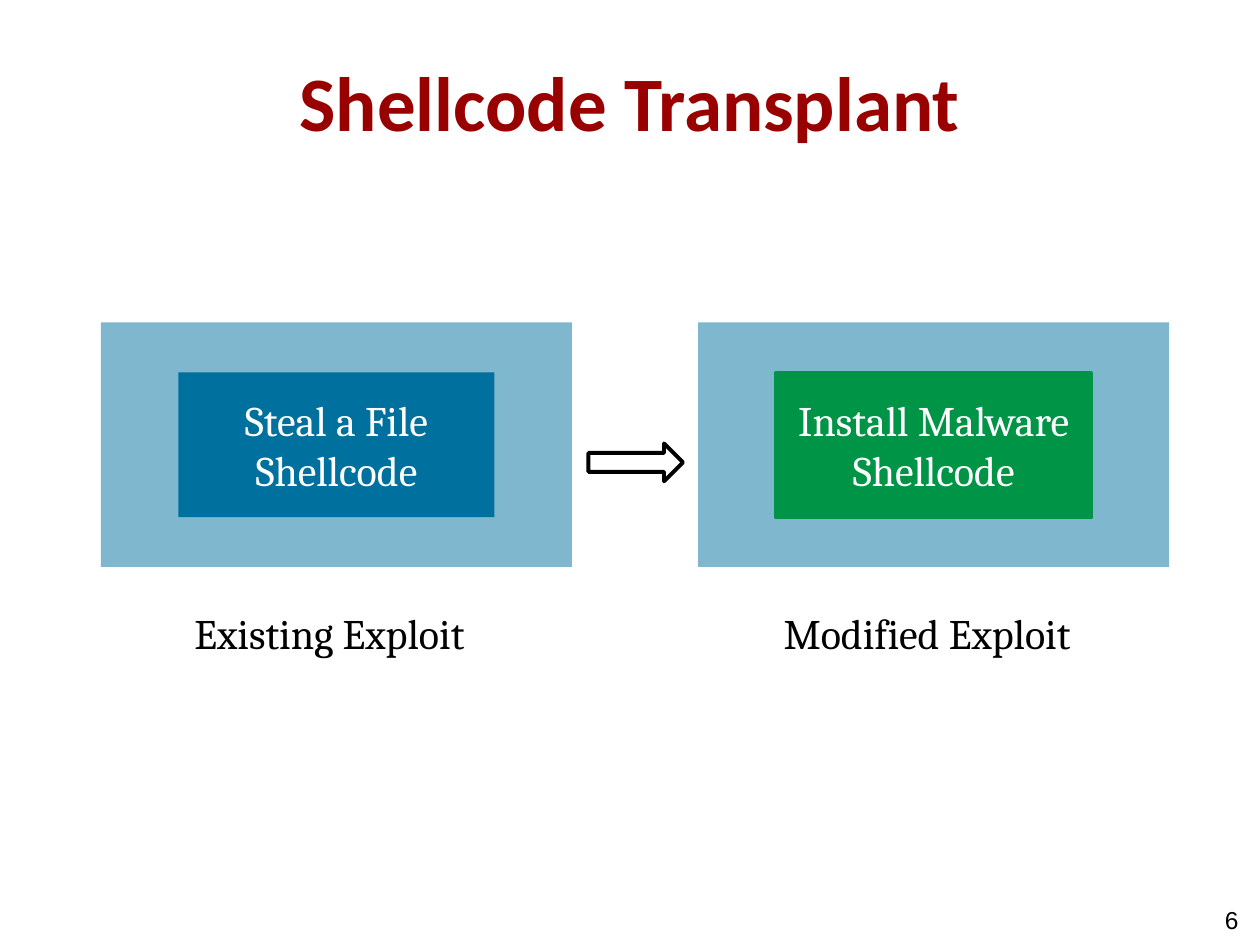
from lxml import etree
from pptx import Presentation
from pptx.dml.color import RGBColor
from pptx.enum import shapes, text
from pptx.oxml import ns
from pptx.util import Inches, Pt

COLORS = {
    "title": "990000",
    "exploit": "00709E",
    "malware": "009446",
    "ink": "000000",
    "paper": "FFFFFF",
}
PANEL_TOP, PANEL_WIDTH, PANEL_HEIGHT = 2.56, 3.74, 1.94
PAYLOAD_WIDTH, PAYLOAD_HEIGHT = 2.51, 1.15


def rgb(name):
    return RGBColor.from_string(COLORS[name])


def write(frame, wording, font, size, color, align, bold=False):
    paragraph = frame.paragraphs[0]
    paragraph.alignment = align
    run = paragraph.add_run()
    run.text = wording
    run.font.name = font
    run.font.size = Pt(size)
    run.font.bold = bold
    run.font.color.rgb = rgb(color)


def add_label(slide, box, wording, font, size, color, align,
              bold=False, inset=None, middle=False, wrap=True):
    label = slide.shapes.add_textbox(*map(Inches, box))
    frame = label.text_frame
    frame.word_wrap = wrap
    if middle:
        frame.vertical_anchor = text.MSO_ANCHOR.MIDDLE
    if inset is not None:
        frame.margin_left = frame.margin_right = Inches(inset)
        frame.margin_top = frame.margin_bottom = Inches(inset)
    write(frame, wording, font, size, color, align, bold)
    return label


def add_block(slide, kind, box, fill=None, line=None, line_width=1, alpha=None):
    """Add a preset shape; alpha is the opacity of its fill in percent."""
    block = slide.shapes.add_shape(kind, *map(Inches, box))
    block.shadow.inherit = False
    if fill:
        block.fill.solid()
        block.fill.fore_color.rgb = rgb(fill)
    else:
        block.fill.background()
    if alpha is not None:
        color = block.fill._xPr.find(".//" + ns.qn("a:srgbClr"))
        etree.SubElement(color, ns.qn("a:alpha"), val=str(alpha * 1000))
    if line:
        block.line.color.rgb = rgb(line)
        block.line.width = Pt(line_width)
    else:
        block.line.fill.background()
    return block


def add_exploit(slide, left, payload, payload_color, outline, caption, caption_width):
    """Add a pale panel with its shellcode payload centred and a caption below."""
    rectangle = shapes.MSO_SHAPE.RECTANGLE
    add_block(slide, rectangle, (left, PANEL_TOP, PANEL_WIDTH, PANEL_HEIGHT),
              fill="exploit", alpha=50)
    payload_left = left + (PANEL_WIDTH - PAYLOAD_WIDTH) / 2
    payload_top = PANEL_TOP + (PANEL_HEIGHT - PAYLOAD_HEIGHT) / 2
    shellcode = add_block(
        slide, rectangle, (payload_left, payload_top, PAYLOAD_WIDTH, PAYLOAD_HEIGHT),
        fill=payload_color, line=outline, line_width=2)
    shellcode.text_frame.word_wrap = True
    shellcode.text_frame.vertical_anchor = text.MSO_ANCHOR.MIDDLE
    write(shellcode.text_frame, payload, "Cambria", 24, "paper", text.PP_ALIGN.CENTER)
    caption_left = left + (PANEL_WIDTH - caption_width) / 2
    label = add_label(slide, (caption_left, 4.77, caption_width, 0.5), caption,
                      "Cambria", 24, "ink", text.PP_ALIGN.LEFT, wrap=False)
    label.text_frame.auto_size = text.MSO_AUTO_SIZE.SHAPE_TO_FIT_TEXT


def main():
    deck = Presentation()
    deck.slide_width, deck.slide_height = Inches(10), Inches(7.5)
    slide = deck.slides.add_slide(deck.slide_layouts[6])

    add_label(slide, (0.5, 0.17, 9, 1.25), "Shellcode Transplant", "Calibri", 44,
              "title", text.PP_ALIGN.CENTER, bold=True, inset=0.1, middle=True)
    add_label(slide, (7.5, 7.1, 2.33, 0.4), "6", "Arial", 14,
              "ink", text.PP_ALIGN.RIGHT, inset=0, middle=True)
    add_exploit(slide, 0.8, "Steal a File Shellcode", "exploit", None,
                "Existing Exploit", 2.45)
    add_exploit(slide, 5.54, "Install Malware Shellcode", "malware", "malware",
                "Modified Exploit", 2.58)
    add_block(slide, shapes.MSO_SHAPE.RIGHT_ARROW, (4.67, 3.52, 0.75, 0.3),
              line="ink", line_width=2.25)

    deck.save("out.pptx")


if __name__ == "__main__":
    main()
